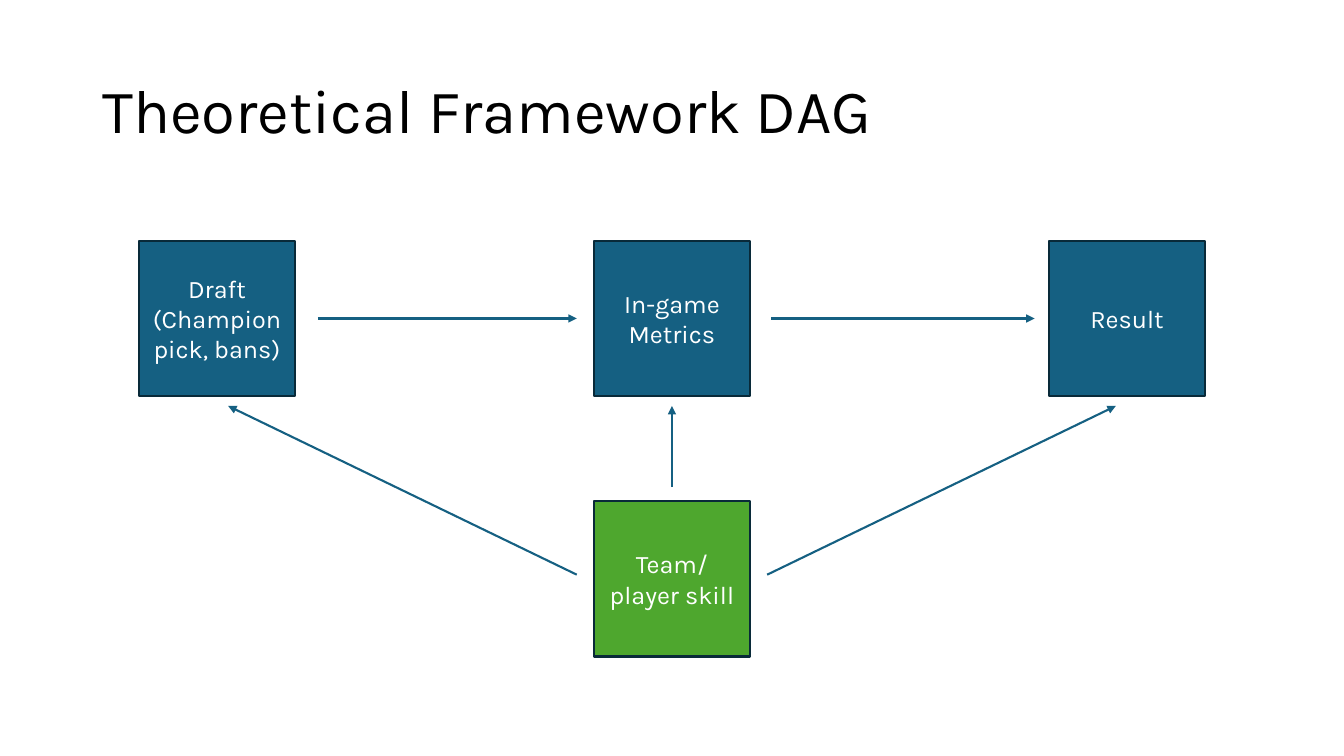
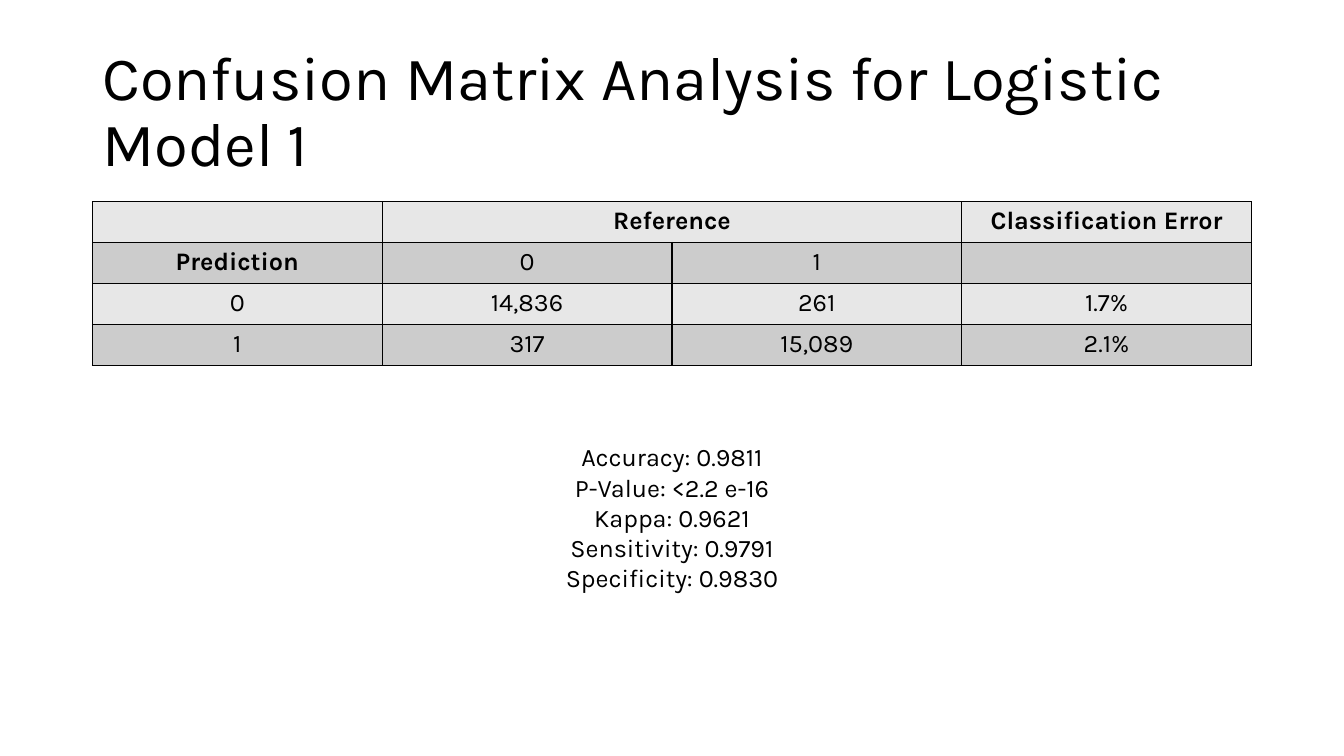
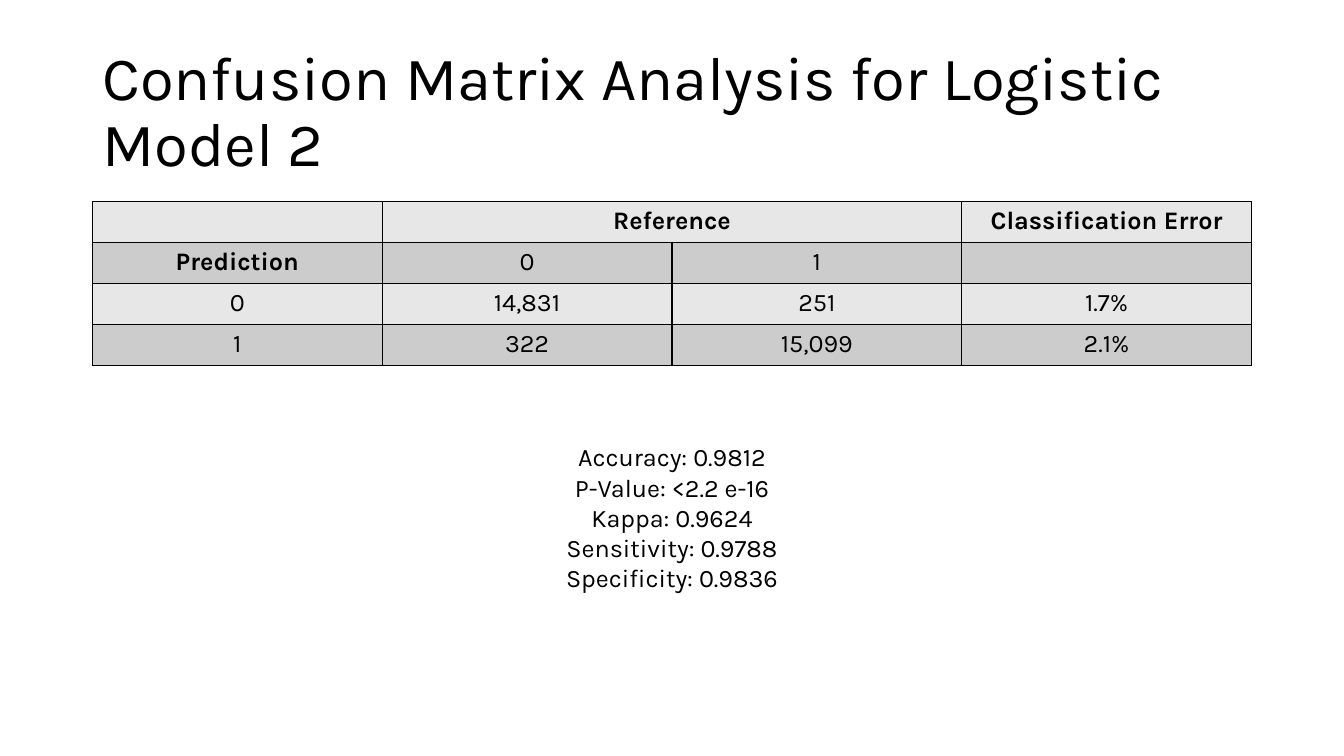
import pptx
import pptx.dml.color
import pptx.enum.shapes
import pptx.enum.text
import pptx.oxml
import pptx.oxml.ns
import pptx.util

Pt = pptx.util.Pt
RGBColor = pptx.dml.color.RGBColor
PP_ALIGN = pptx.enum.text.PP_ALIGN
MSO_ANCHOR = pptx.enum.text.MSO_ANCHOR

BLACK = RGBColor(0x00, 0x00, 0x00)
WHITE = RGBColor(0xFF, 0xFF, 0xFF)
BLUE = RGBColor(0x15, 0x60, 0x82)
NAVY = RGBColor(0x09, 0x2A, 0x39)
GREEN = RGBColor(0x4E, 0xA7, 0x2E)
BANDS = RGBColor(0xE7, 0xE7, 0xE7), RGBColor(0xCC, 0xCC, 0xCC)

FONT = "Karla"
TITLE_FORMAT = {"name": FONT, "size": Pt(44)}
BODY_FORMAT = {"name": FONT, "size": Pt(18)}

SLIDE_WIDTH, SLIDE_HEIGHT = 960, 540
MIDDLE = SLIDE_WIDTH / 2
MARGIN = 66
CONTENT_WIDTH = SLIDE_WIDTH - 2 * MARGIN

# Diagram: (lines, column offset from the middle, top, fill)
NODE_SIZE = 111
COLUMN_STEP = 325
NODES = [
    (["Draft", "(Champion pick, bans)"], -1, 172, BLUE),
    (["In-game Metrics"], 0, 172, BLUE),
    (["Result"], 1, 172, BLUE),
    (["Team/ player skill"], 0, 358, GREEN),
]
ARROWS = [
    ((412, 410.5), (163, 290)),
    ((227, 227.5), (412, 227.5)),
    ((551, 227.5), (739, 227.5)),
    ((480, 348), (480, 290)),
    ((548, 410.5), (797, 290)),
]

# Confusion matrices
ROW_HEIGHT = 29.2
HEADER_ROWS = [
    ["", "Reference", "", "Classification Error"],
    ["Prediction", "0", "1", ""],
]
BOLD_HEADINGS = {"Reference", "Classification Error", "Prediction"}
METRICS = ["Accuracy", "P-Value", "Kappa", "Sensitivity", "Specificity"]
MODELS = [
    {
        "title": "Confusion Matrix Analysis for Logistic Model 1",
        "rows": [["0", "14,836", "261", "1.7%"], ["1", "317", "15,089", "2.1%"]],
        "values": ["0.9811", "<2.2 e-16", "0.9621", "0.9791", "0.9830"],
    },
    {
        "title": "Confusion Matrix Analysis for Logistic Model 2",
        "rows": [["0", "14,831", "251", "1.7%"], ["1", "322", "15,099", "2.1%"]],
        "values": ["0.9812", "<2.2 e-16", "0.9624", "0.9788", "0.9836"],
    },
]


def write(frame, lines, text_format, color=BLACK, align=PP_ALIGN.CENTER):
    """Fill a text frame with one paragraph per line."""
    frame.word_wrap = True
    for index, line in enumerate(lines):
        paragraph = frame.add_paragraph() if index else frame.paragraphs[0]
        paragraph.alignment = align
        run = paragraph.add_run()
        run.text = line
        for name, value in text_format.items():
            setattr(run.font, name, value)
        run.font.color.rgb = color


def add_titled_slide(deck, title):
    slide = deck.slides.add_slide(deck.slide_layouts[6])
    box = slide.shapes.add_textbox(Pt(MARGIN), Pt(28.75), Pt(CONTENT_WIDTH), Pt(104.4))
    write(box.text_frame, [title], TITLE_FORMAT, align=PP_ALIGN.LEFT)
    box.text_frame.vertical_anchor = MSO_ANCHOR.MIDDLE
    box.text_frame.paragraphs[0].line_spacing = 0.9
    return slide


def add_node(slide, lines, column, top, fill):
    left = MIDDLE + column * COLUMN_STEP - NODE_SIZE / 2
    node = slide.shapes.add_shape(
        pptx.enum.shapes.MSO_SHAPE.RECTANGLE,
        Pt(left), Pt(top), Pt(NODE_SIZE), Pt(NODE_SIZE))
    node.shadow.inherit = False
    node.fill.solid()
    node.fill.fore_color.rgb = fill
    node.line.color.rgb = NAVY
    node.line.width = Pt(1.5)
    write(node.text_frame, lines, BODY_FORMAT, WHITE)


def add_arrow(slide, start, end):
    arrow = slide.shapes.add_connector(
        pptx.enum.shapes.MSO_CONNECTOR.STRAIGHT, *map(Pt, start + end))
    arrow.line.color.rgb = BLUE
    arrow.line.width = Pt(1.5)
    head = pptx.oxml.ns.qn("a:tailEnd")
    arrow.line._get_or_add_ln().makeelement(head)
    line = arrow.line._get_or_add_ln()
    line.append(line.makeelement(head, {"type": "triangle"}))
    properties = arrow._element.spPr
    properties.append(properties.makeelement(pptx.oxml.ns.qn("a:effectLst")))


def add_borders(cell):
    properties = cell._tc.get_or_add_tcPr()
    for side in "LRTB":
        properties.append(pptx.oxml.parse_xml(
            f'<a:ln{side} {pptx.oxml.ns.nsdecls("a")} w="{Pt(1)}">'
            f'<a:solidFill><a:srgbClr val="{BLACK}"/></a:solidFill></a:ln{side}>'))


def add_matrix(slide, rows):
    columns = len(rows[0])
    matrix = slide.shapes.add_table(
        len(rows), columns, Pt(MARGIN), Pt(144),
        Pt(CONTENT_WIDTH), Pt(ROW_HEIGHT * len(rows))).table
    matrix.first_row = matrix.horz_banding = False
    for r, row in enumerate(rows):
        matrix.rows[r].height = Pt(ROW_HEIGHT)
        for c, text in enumerate(row):
            cell = matrix.cell(r, c)
            add_borders(cell)
            cell.fill.solid()
            cell.fill.fore_color.rgb = BANDS[r % 2]
            if text:
                bold = text in BOLD_HEADINGS
                write(cell.text_frame, [text], {**BODY_FORMAT, "bold": bold})
    matrix.cell(0, 1).merge(matrix.cell(0, 2))


def add_metrics(slide, values):
    width = 204
    box = slide.shapes.add_textbox(Pt(MIDDLE - width / 2), Pt(312), Pt(width), Pt(181))
    lines = [f"{metric}: {value}" for metric, value in zip(METRICS, values)]
    write(box.text_frame, lines, BODY_FORMAT)


def main():
    deck = pptx.Presentation()
    deck.slide_width, deck.slide_height = Pt(SLIDE_WIDTH), Pt(SLIDE_HEIGHT)

    framework = add_titled_slide(deck, "Theoretical Framework DAG")
    for node in NODES:
        add_node(framework, *node)
    for start, end in ARROWS:
        add_arrow(framework, start, end)

    for model in MODELS:
        slide = add_titled_slide(deck, model["title"])
        add_matrix(slide, HEADER_ROWS + model["rows"])
        add_metrics(slide, model["values"])

    deck.save("out.pptx")


if __name__ == "__main__":
    main()
